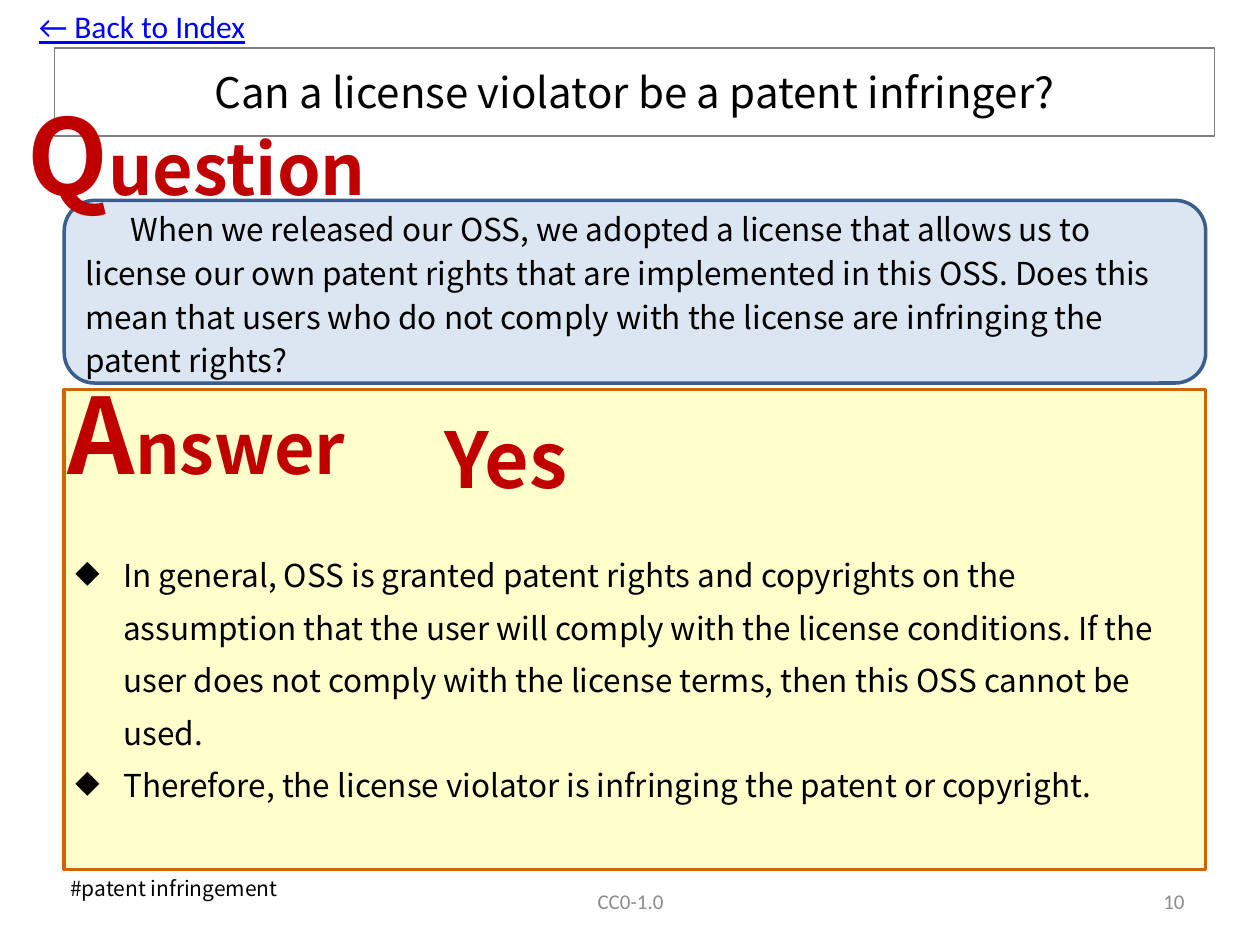
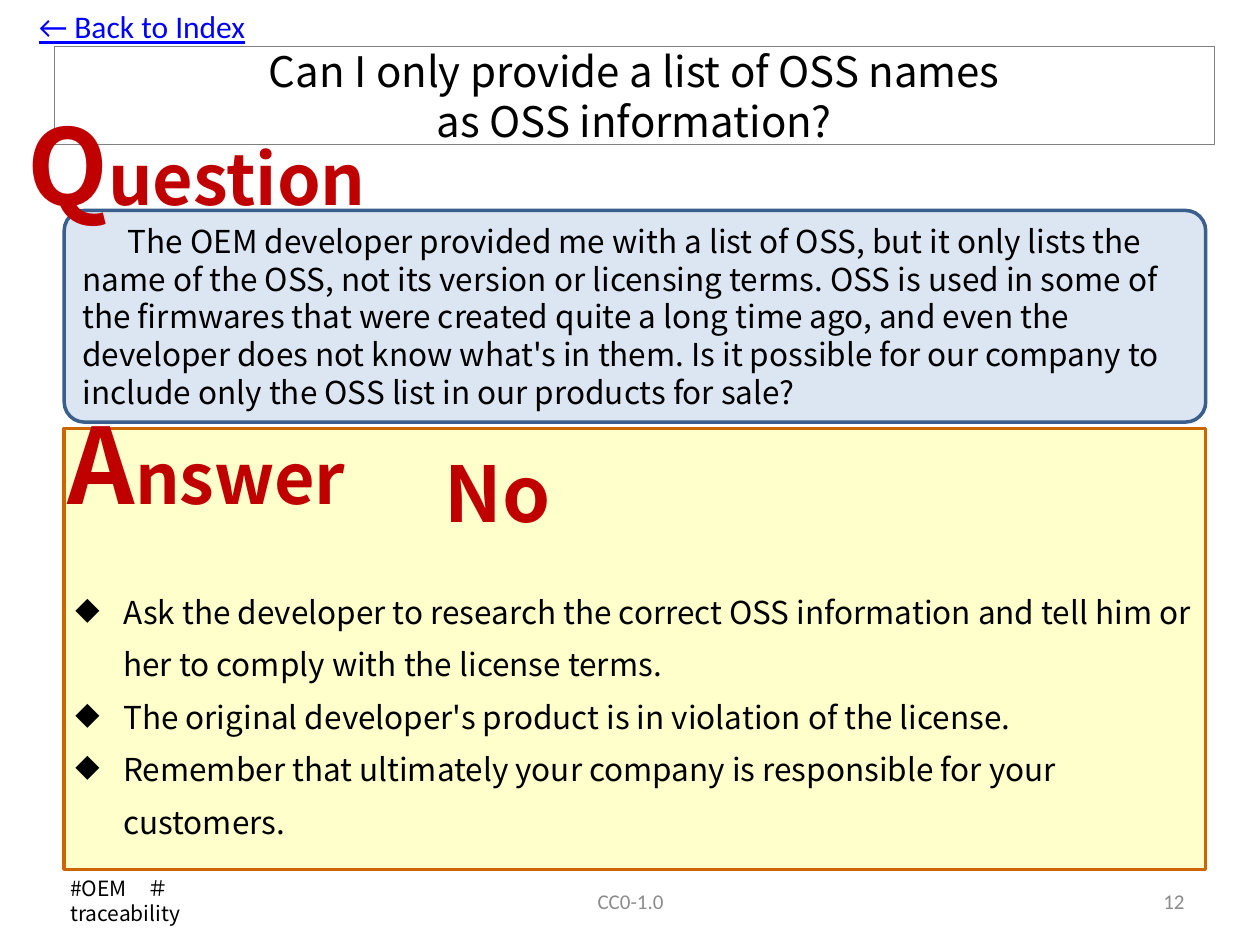
from dataclasses import dataclass

from lxml.etree import SubElement
from pptx import Presentation
from pptx.dml.color import RGBColor
from pptx.enum.shapes import MSO_SHAPE
from pptx.enum.text import MSO_ANCHOR, MSO_AUTO_SIZE, PP_ALIGN
from pptx.oxml.ns import qn
from pptx.util import Inches, Pt

# Shared style
BLACK, RED, GREY, LINK_BLUE = "000000", "C00000", "8C8C8C", "0000FF"
TITLE_LINE = "808080"
QUESTION_FILL, QUESTION_LINE = "DCE6F2", "3A5F8C"
ANSWER_FILL, ANSWER_LINE = "FFFFCC", "CC6600"
MAIN_FONT, SMALL_FONT = "Noto Sans CJK JP", "Calibri"
PANEL_LEFT, PANEL_WIDTH, PANEL_BOTTOM = 0.51, 9.06, 6.9
PANEL_GAP = 0.05


@dataclass
class Card:
    number: int
    title: str
    title_box: tuple
    question: str
    question_top: float
    question_height: float
    question_corner: float
    question_spacing: Pt
    verdict: str
    answer_label_rise: float
    verdict_drop: float
    points_drop: float
    points: list
    hashtags: str


CARDS = [
    Card(
        number=10,
        title="Can a license violator be a patent infringer?",
        title_box=(0.43, 0.38, 9.21, 0.7),
        question="When we released our OSS, we adopted a license that allows us to "
                 "license our own patent rights that are implemented in this OSS. "
                 "Does this mean that users who do not comply with the license are "
                 "infringing the patent rights?",
        question_top=1.59, question_height=1.45,
        question_corner=0.167, question_spacing=Pt(25),
        verdict="Yes",
        answer_label_rise=0.21, verdict_drop=0.13, points_drop=1.16,
        points=[
            "In general, OSS is granted patent rights and copyrights on the "
            "assumption that the user will comply with the license conditions. "
            "If the user does not comply with the license terms, then this OSS "
            "cannot be used.",
            "Therefore, the license violator is infringing the patent or copyright.",
        ],
        hashtags="#patent infringement",
    ),
    Card(
        number=12,
        title="Can I only provide a list of OSS names\vas OSS information?",
        title_box=(0.43, 0.37, 9.21, 0.78),
        question="The OEM developer provided me with a list of OSS, but it only "
                 "lists the name of the OSS, not its version or licensing terms. "
                 "OSS is used in some of the firmwares that were created quite a "
                 "long time ago, and even the developer does not know what's in "
                 "them. Is it possible for our company to include only the OSS "
                 "list in our products for sale?",
        question_top=1.67, question_height=1.68,
        question_corner=0.095, question_spacing=None,
        verdict="No",
        answer_label_rise=0.28, verdict_drop=0.09, points_drop=1.14,
        points=[
            "Ask the developer to research the correct OSS information and tell "
            "him or her to comply with the license terms.",
            "The original developer's product is in violation of the license.",
            "Remember that ultimately your company is responsible for your customers.",
        ],
        hashtags="#OEM　＃\vtraceability",
    ),
]


def color(hex_string):
    return RGBColor.from_string(hex_string)


def place(box):
    return [Inches(length) for length in box]


def add_run(paragraph, text, size, font=MAIN_FONT, ink=BLACK, bold=False, underline=False):
    """Add text in one style; a vertical tab starts a new line."""
    for index, line in enumerate(text.split("\v")):
        if index:
            paragraph.add_line_break()
        run = paragraph.add_run()
        run.text = line
        run.font.size = Pt(size)
        run.font.name = font
        run.font.color.rgb = color(ink)
        run.font.bold = bold
        run.font.underline = underline
        SubElement(run.font._element, qn("a:ea"), typeface=font)


def add_text_box(slide, box, wrap=True, anchor=MSO_ANCHOR.TOP, align=PP_ALIGN.LEFT):
    """Return the text frame of a new text box."""
    frame = slide.shapes.add_textbox(*place(box)).text_frame
    frame.word_wrap = wrap
    frame.vertical_anchor = anchor
    frame.paragraphs[0].alignment = align
    return frame


def add_panel(slide, preset, box, fill, line):
    shape = slide.shapes.add_shape(preset, *place(box))
    shape.shadow.inherit = False
    shape.fill.solid()
    shape.fill.fore_color.rgb = color(fill)
    shape.line.color.rgb = color(line)
    shape.line.width = Pt(2)
    return shape


def add_drop_cap_label(slide, box, word):
    """Add a red heading whose first letter is larger."""
    paragraph = add_text_box(slide, box, wrap=False).paragraphs[0]
    add_run(paragraph, word[0], 60, ink=RED, bold=True)
    add_run(paragraph, word[1:], 40, ink=RED, bold=True)


def set_title(slide, box, text):
    title = slide.shapes.title
    title.left, title.top, title.width, title.height = place(box)
    title.line.color.rgb = color(TITLE_LINE)
    title.line.width = Pt(0.75)
    frame = title.text_frame
    frame.auto_size = MSO_AUTO_SIZE.NONE
    frame.vertical_anchor = MSO_ANCHOR.MIDDLE
    frame.paragraphs[0].alignment = PP_ALIGN.CENTER
    add_run(frame.paragraphs[0], text, 24)


def add_question(slide, box, card):
    left, top, width, height = box
    panel = add_panel(slide, MSO_SHAPE.ROUNDED_RECTANGLE, box, QUESTION_FILL, QUESTION_LINE)
    panel.adjustments[0] = card.question_corner
    frame = panel.text_frame
    frame.word_wrap = True
    frame.vertical_anchor = MSO_ANCHOR.MIDDLE
    paragraph = frame.paragraphs[0]
    paragraph.alignment = PP_ALIGN.LEFT
    paragraph.line_spacing = card.question_spacing
    paragraph._p.get_or_add_pPr().set("indent", str(Inches(0.36)))
    add_run(paragraph, card.question, 18)
    add_drop_cap_label(slide, (left - 0.39, top - 0.92, 3.07, 1.11), "Question")


def add_answer(slide, box, card):
    left, top, width, height = box
    add_panel(slide, MSO_SHAPE.RECTANGLE, box, ANSWER_FILL, ANSWER_LINE)
    add_drop_cap_label(slide, (left - 0.07, top - card.answer_label_rise, 2.63, 1.11), "Answer")
    verdict = add_text_box(slide, (left + 2.92, top + card.verdict_drop, 4.09, 0.84))
    add_run(verdict.paragraphs[0], card.verdict, 44, ink=RED, bold=True)

    # Bulleted reasons
    drop = card.points_drop
    frame = add_text_box(slide, (left - 0.01, top + drop, width + 0.01, height - drop))
    for index, point in enumerate(card.points):
        paragraph = frame.add_paragraph() if index else frame.paragraphs[0]
        properties = paragraph._p.get_or_add_pPr()
        properties.set("marL", str(Inches(0.38)))
        properties.set("indent", str(-Inches(0.38)))
        SubElement(properties, qn("a:buChar"), char="◆")
        paragraph.line_spacing = Pt(30)
        add_run(paragraph, point, 18)


def add_navigation(slide):
    frame = add_text_box(slide, (0.21, 0.01, 1.86, 0.4), wrap=False)
    add_run(frame.paragraphs[0], "← Back to Index", 18, SMALL_FONT, LINK_BLUE, underline=True)


def add_footer(slide, card):
    hashtags = add_text_box(slide, (0.46, 6.9, 1.96, 0.3), wrap=False)
    add_run(hashtags.paragraphs[0], card.hashtags, 12)
    for left, width, align, text in (
        (3.42, 3.17, PP_ALIGN.CENTER, "CC0-1.0"),
        (7.17, 2.33, PP_ALIGN.RIGHT, str(card.number)),
    ):
        frame = add_text_box(slide, (left, 6.95, width, 0.4),
                             anchor=MSO_ANCHOR.MIDDLE, align=align)
        add_run(frame.paragraphs[0], text, 12, SMALL_FONT, GREY)


def add_card_slide(presentation, card):
    slide = presentation.slides.add_slide(presentation.slide_layouts[5])
    answer_top = card.question_top + card.question_height + PANEL_GAP
    set_title(slide, card.title_box, card.title)
    add_answer(slide, (PANEL_LEFT, answer_top, PANEL_WIDTH, PANEL_BOTTOM - answer_top), card)
    add_question(slide, (PANEL_LEFT, card.question_top, PANEL_WIDTH, card.question_height), card)
    add_navigation(slide)
    add_footer(slide, card)


def main():
    presentation = Presentation()
    presentation.slide_width = Inches(10)
    presentation.slide_height = Inches(7.5)
    for card in CARDS:
        add_card_slide(presentation, card)
    presentation.save("out.pptx")


if __name__ == "__main__":
    main()
